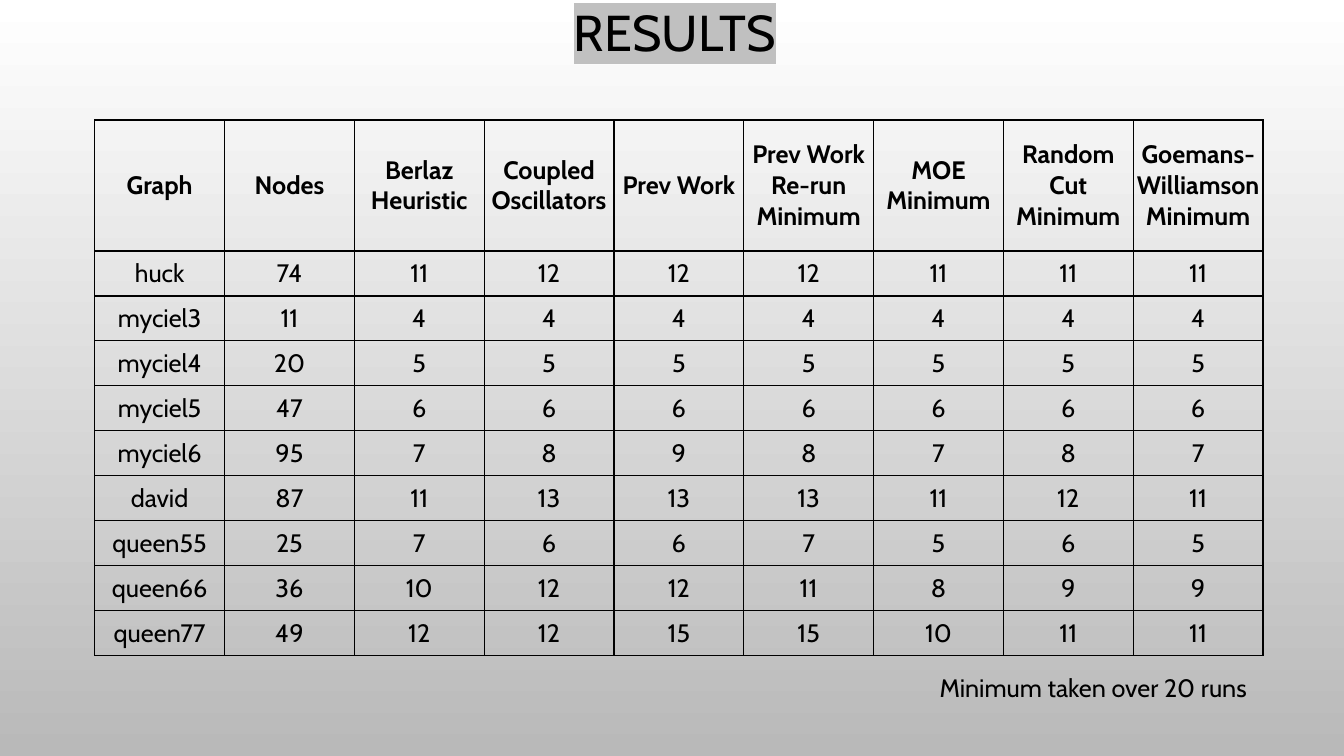
from lxml import etree
from pptx import Presentation
from pptx import util as u
from pptx.dml.color import RGBColor
from pptx.enum import text
from pptx.oxml import ns

HEADINGS = ["Graph", "Nodes", "Berlaz Heuristic", "Coupled Oscillators", "Prev Work",
            "Prev Work Re-run Minimum", "MOE Minimum", "Random Cut Minimum",
            "Goemans-Williamson Minimum"]
RESULTS = [
    ["huck", 74, 11, 12, 12, 12, 11, 11, 11],
    ["myciel3", 11, 4, 4, 4, 4, 4, 4, 4],
    ["myciel4", 20, 5, 5, 5, 5, 5, 5, 5],
    ["myciel5", 47, 6, 6, 6, 6, 6, 6, 6],
    ["myciel6", 95, 7, 8, 9, 8, 7, 8, 7],
    ["david", 87, 11, 13, 13, 13, 11, 12, 11],
    ["queen55", 25, 7, 6, 6, 7, 5, 6, 5],
    ["queen66", 36, 10, 12, 12, 11, 8, 9, 9],
    ["queen77", 49, 12, 12, 15, 15, 10, 11, 11],
]


def rgb(value):
    return RGBColor.from_string(value)


class ResultsSlide:
    font_name = "Cabin"
    ink = "000000"
    text_size = 18
    title_size = 36
    border_width = 0.96

    def __init__(self, presentation):
        self.width = presentation.slide_width
        self.height = presentation.slide_height
        self.slide = presentation.slides.add_slide(presentation.slide_layouts[5])

    def across(self, percent):
        return u.Emu(round(self.width * percent / 100))

    def down(self, percent):
        return u.Emu(round(self.height * percent / 100))

    def box(self, left, top, width, height):
        return self.across(left), self.down(top), self.across(width), self.down(height)

    def style(self, font, size, bold=False):
        font.name = self.font_name
        font.size = u.Pt(size)
        font.bold = bold
        font.color.rgb = rgb(self.ink)

    def background(self, top_color, bottom_color):
        fill = self.slide.background.fill
        fill.gradient()
        fill.gradient_angle = 270
        for stop, color in zip(fill.gradient_stops, (top_color, bottom_color)):
            stop.color.rgb = rgb(color)

    def title(self, words, place, highlight):
        shape = self.slide.shapes.title
        shape.left, shape.top, shape.width, shape.height = self.box(*place)
        frame = shape.text_frame
        frame.auto_size = text.MSO_AUTO_SIZE.NONE
        frame.vertical_anchor = text.MSO_ANCHOR.BOTTOM
        paragraph = frame.paragraphs[0]
        paragraph.alignment = text.PP_ALIGN.CENTER
        paragraph.line_spacing = 0.9
        run = paragraph.add_run()
        run.text = words
        self.style(run.font, self.title_size)
        marker = etree.Element(ns.qn("a:highlight"))
        etree.SubElement(marker, ns.qn("a:srgbClr"), val=highlight)
        run.font._element.find(ns.qn("a:solidFill")).addnext(marker)

    def borders(self, cell):
        properties = cell._tc.get_or_add_tcPr()
        for side in ("lnL", "lnR", "lnT", "lnB"):
            line = etree.SubElement(properties, ns.qn(f"a:{side}"),
                                    w=str(u.Pt(self.border_width)))
            fill = etree.SubElement(line, ns.qn("a:solidFill"))
            etree.SubElement(fill, ns.qn("a:srgbClr"), val=self.ink)

    def cell(self, cell, words, bold):
        self.borders(cell)
        cell.fill.background()
        cell.vertical_anchor = text.MSO_ANCHOR.MIDDLE
        cell.margin_left = cell.margin_right = u.Inches(0.01)
        cell.margin_top = cell.margin_bottom = u.Inches(0.05)
        cell.text = str(words)
        paragraph = cell.text_frame.paragraphs[0]
        paragraph.alignment = text.PP_ALIGN.CENTER
        self.style(paragraph.font, self.text_size, bold)

    def table(self, headings, records, left, top, column, header, row):
        rows = [headings] + records
        place = self.box(left, top, column * len(headings), header + row * len(records))
        table = self.slide.shapes.add_table(len(rows), len(headings), *place).table
        table.first_row = table.horz_banding = False
        for table_column in table.columns:
            table_column.width = self.across(column)
        for index, values in enumerate(rows):
            table.rows[index].height = self.down(row if index else header)
            for position, value in enumerate(values):
                self.cell(table.cell(index, position), value, index == 0)

    def note(self, words, place):
        frame = self.slide.shapes.add_textbox(*self.box(*place)).text_frame
        frame.word_wrap = False
        frame.auto_size = text.MSO_AUTO_SIZE.SHAPE_TO_FIT_TEXT
        paragraph = frame.paragraphs[0]
        paragraph.text = words
        self.style(paragraph.font, self.text_size)


def main():
    presentation = Presentation()
    presentation.slide_width = u.Inches(13.33)
    presentation.slide_height = u.Inches(7.5)
    results = ResultsSlide(presentation)
    results.background("FFFFFF", "B9B9B9")
    results.title("RESULTS", (7.05, 0, 86.35, 8.93), "C0C0C0")
    results.table(HEADINGS, RESULTS, left=7.05, top=15.87, column=9.66, header=17.33, row=5.95)
    results.note("Minimum taken over 20 runs", (69.17, 88.27, 26.86, 5.33))
    presentation.save("out.pptx")


if __name__ == "__main__":
    main()
